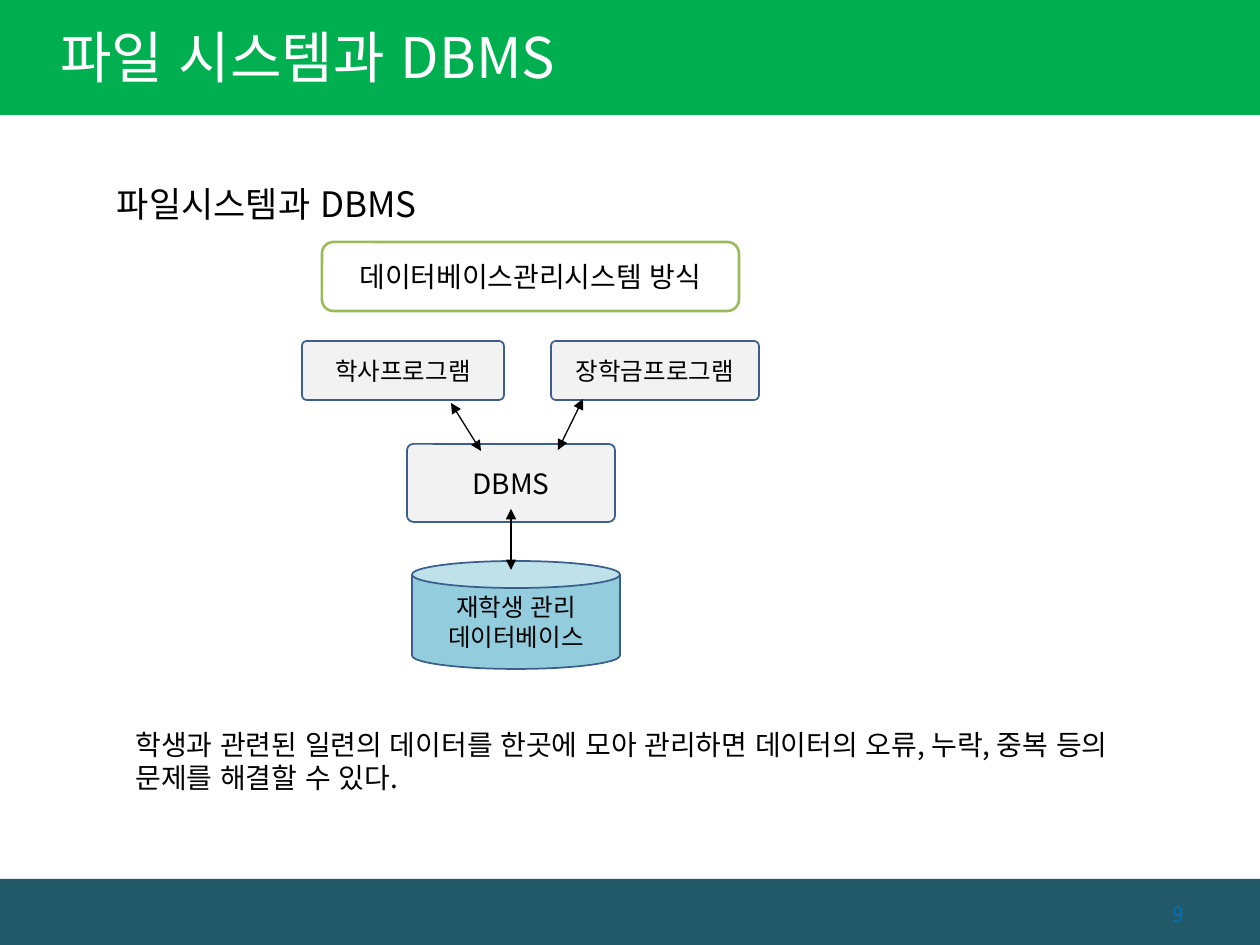
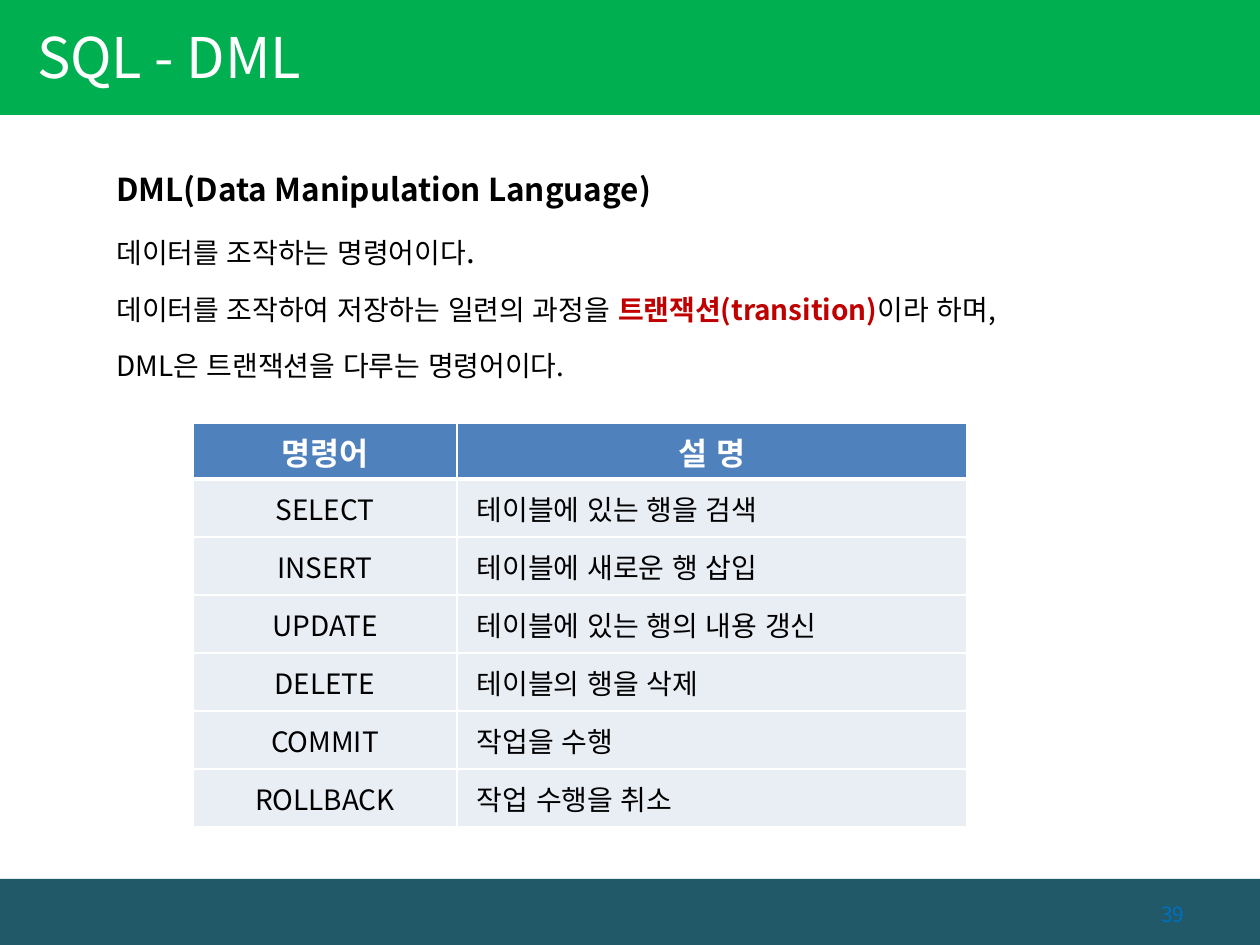
from lxml import etree
from pptx import Presentation
from pptx.dml.color import RGBColor
from pptx.enum.lang import MSO_LANGUAGE_ID
from pptx.enum.shapes import MSO_CONNECTOR, MSO_SHAPE
from pptx.enum.text import MSO_ANCHOR, MSO_AUTO_SIZE, PP_ALIGN
from pptx.oxml.ns import qn
from pptx.util import Emu, Pt

RECT, ROUND, CAN = MSO_SHAPE.RECTANGLE, MSO_SHAPE.ROUNDED_RECTANGLE, MSO_SHAPE.CAN
STRAIGHT = MSO_CONNECTOR.STRAIGHT
MIDDLE, TOP = MSO_ANCHOR.MIDDLE, MSO_ANCHOR.TOP
LEFT, CENTER, RIGHT = PP_ALIGN.LEFT, PP_ALIGN.CENTER, PP_ALIGN.RIGHT
NO_FIT = MSO_AUTO_SIZE.NONE
KOREAN = MSO_LANGUAGE_ID.KOREAN

WHITE = RGBColor(0xFF, 0xFF, 0xFF)
BLACK = RGBColor(0, 0, 0)
GREEN = RGBColor(0x00, 0xB0, 0x50)
TEAL = RGBColor(0x21, 0x59, 0x68)
BLUE = RGBColor(0x00, 0x70, 0xC0)
RED = RGBColor(0xC0, 0x00, 0x00)
LIME = RGBColor(0x9B, 0xBB, 0x59)
OUTLINE = RGBColor(0x3A, 0x5F, 0x8C)
BOX_GREY = RGBColor(0xF2, 0xF2, 0xF2)
CAN_BLUE = RGBColor(0x93, 0xCD, 0xDD)
HEADER_BLUE = RGBColor(0x4F, 0x81, 0xBD)
ROW_GREY = RGBColor(0xE9, 0xED, 0xF4)

FONT = "Noto Sans CJK KR"
SLIDE_W, SLIDE_H = 1260, 945
TITLE_H = 115
FOOTER_Y = 879


def px(n):
    return Emu(round(n * 914400 / 126))


def place(*lengths):
    return [px(n) for n in lengths]


def set_all(target, **values):
    for name, value in values.items():
        setattr(target, name, value)


def add_run(p, text, size, color=BLACK, bold=False):
    r = p.add_run()
    r.text = text
    set_all(r.font, name=FONT, size=Pt(size), bold=bold, language_id=KOREAN)
    r.font.color.rgb = color
    etree.SubElement(r.font._element, qn("a:ea"), typeface=FONT)


def fill_text(tf, paragraphs, align=LEFT, anchor=TOP, spaced=False):
    """Write paragraphs, each a list of (text, size, colour, bold) runs."""
    set_all(tf, word_wrap=True, vertical_anchor=anchor)
    for i, runs in enumerate(paragraphs):
        p = tf.add_paragraph() if i else tf.paragraphs[0]
        p.alignment = align
        if spaced:
            set_all(p, line_spacing=1.5, space_before=Pt(runs[0][1] * 0.2))
        for run in runs:
            add_run(p, *run)


def add_text(s, box, paragraphs, **layout):
    tf = s.shapes.add_textbox(*place(*box)).text_frame
    fill_text(tf, paragraphs, **layout)
    return tf


def add_box(s, kind, box, fill, line=None, width=1, lines=(), size=16):
    sp = s.shapes.add_shape(kind, *place(*box))
    sp.shadow.inherit = False
    sp.fill.solid()
    sp.fill.fore_color.rgb = fill
    if line is None:
        sp.line.fill.background()
    else:
        sp.line.color.rgb = line
        sp.line.width = Pt(width)
    if lines:
        fill_text(sp.text_frame, [[(text, size)] for text in lines],
                  align=CENTER, anchor=MIDDLE)
    return sp


def add_double_arrow(s, x1, y1, x2, y2):
    line = s.shapes.add_connector(STRAIGHT, *place(x1, y1, x2, y2))
    line.line.color.rgb = BLACK
    line.line.width = Pt(0.75)
    ln = line.line._get_or_add_ln()
    for end in ("a:headEnd", "a:tailEnd"):
        etree.SubElement(ln, qn(end), type="triangle")
    etree.SubElement(line._element.spPr, qn("a:effectLst"))


def add_framed_slide(prs, title, title_inset, number):
    """Add a slide with the two bands, title and page number."""
    s = prs.slides.add_slide(prs.slide_layouts[5])
    add_box(s, RECT, (0, FOOTER_Y, SLIDE_W, SLIDE_H - FOOTER_Y), TEAL)
    add_box(s, RECT, (0, 0, SLIDE_W, TITLE_H), GREEN)

    holder = s.shapes.title
    holder.element.getparent().append(holder.element)
    left, top, width, height = place(0, -3, 789, 118)
    set_all(holder, left=left, top=top, width=width, height=height)
    tf = holder.text_frame
    set_all(tf, margin_left=px(title_inset), auto_size=NO_FIT)
    fill_text(tf, [[(title, 32, WHITE)]], anchor=MIDDLE)

    add_text(s, (903, 889, 294, 50), [[(number, 12, BLUE)]],
             align=RIGHT, anchor=MIDDLE)
    return s


def add_dbms_diagram(s, x, y):
    add_box(s, ROUND, (x + 20, y, 417, 69), WHITE, LIME, 1.5,
            ["데이터베이스관리시스템 방식"])
    add_box(s, CAN, (x + 110, y + 319, 208, 108), CAN_BLUE, OUTLINE,
            lines=["재학생 관리", "데이터베이스"], size=14)
    for dx, dy, w, h, label, size in (
            (0, 99, 202, 59, "학사프로그램", 14),
            (249, 99, 208, 59, "장학금프로그램", 14),
            (105, 202, 208, 78, "DBMS", 16)):
        sp = add_box(s, ROUND, (x + dx, y + dy, w, h), BOX_GREY, OUTLINE,
                     lines=[label], size=size)
        sp.adjustments[0] = 0.08
    for x1, y1, x2, y2 in ((149, 161, 179, 209), (281, 157, 256, 208),
                           (209, 267, 209, 328)):
        add_double_arrow(s, x + x1, y + y1, x + x2, y + y2)


def set_borders(cell, bottom_width):
    tc_pr = cell._tc.get_or_add_tcPr()
    widths = {"a:lnL": 1, "a:lnR": 1, "a:lnT": 1, "a:lnB": bottom_width}
    for i, (tag, width) in enumerate(widths.items()):
        ln = etree.Element(qn(tag), w=str(Pt(width)))
        fill = etree.SubElement(ln, qn("a:solidFill"))
        etree.SubElement(fill, qn("a:srgbClr"), val=str(WHITE))
        tc_pr.insert(i, ln)


def add_command_table(s, x, y):
    rows = [("명령어", "설 명"),
            ("SELECT", "테이블에 있는 행을 검색"),
            ("INSERT", "테이블에 새로운 행 삽입"),
            ("UPDATE", "테이블에 있는 행의 내용 갱신"),
            ("DELETE", "테이블의 행을 삭제"),
            ("COMMIT", "작업을 수행"),
            ("ROLLBACK", "작업 수행을 취소")]
    widths, header_h, row_h = (264, 510), 56, 58
    height = header_h + row_h * (len(rows) - 1)
    table = s.shapes.add_table(len(rows), len(widths),
                               *place(x, y, sum(widths), height)).table
    for column, width in zip(table.columns, widths):
        column.width = px(width)
    for i, row in enumerate(rows):
        header = i == 0
        table.rows[i].height = px(header_h if header else row_h)
        for j, text in enumerate(row):
            cell = table.cell(i, j)
            cell.fill.solid()
            cell.fill.fore_color.rgb = HEADER_BLUE if header else ROW_GREY
            set_borders(cell, 3 if header else 1)
            cell.vertical_anchor = MIDDLE
            p = cell.text_frame.paragraphs[0]
            p.alignment = CENTER if header or j == 0 else LEFT
            if p.alignment == LEFT:
                cell.margin_left = px(20)
            if header:
                add_run(p, text, 18, WHITE, True)
            else:
                add_run(p, text, 16)


def build_file_system_slide(prs):
    s = add_framed_slide(prs, "파일 시스템과 DBMS", 60, "9")
    tf = add_text(s, (84, 155, 436, 79), [[("파일시스템과 DBMS", 20)]],
                  spaced=True)
    tf.margin_left = px(33)
    add_dbms_diagram(s, 302, 242)
    add_text(s, (123, 721, 1042, 81),
             [[("학생과 관련된 일련의 데이터를 한곳에 모아 관리하면 데이터의 "
                "오류, 누락, 중복 등의 문제를 해결할 수 있다.", 16)]])


def build_dml_slide(prs):
    s = add_framed_slide(prs, "SQL - DML", 37, "39")
    add_text(s, (104, 145, 992, 258), [
        [("DML(Data Manipulation Language)", 18, BLACK, True)],
        [("데이터를 조작하는 명령어이다", 16), (".", 18)],
        [("데이터를 조작하여 저장하는 일련의 과정을 ", 16),
         ("트랜잭션(transition)", 16, RED, True),
         ("이라 하며,", 16)],
        [("DML은 트랜잭션을 다루는 명령어이다.", 16)],
    ], spaced=True)
    add_command_table(s, 193, 423)


def main():
    prs = Presentation()
    prs.slide_width, prs.slide_height = place(SLIDE_W, SLIDE_H)
    build_file_system_slide(prs)
    build_dml_slide(prs)
    prs.save("out.pptx")


if __name__ == "__main__":
    main()
